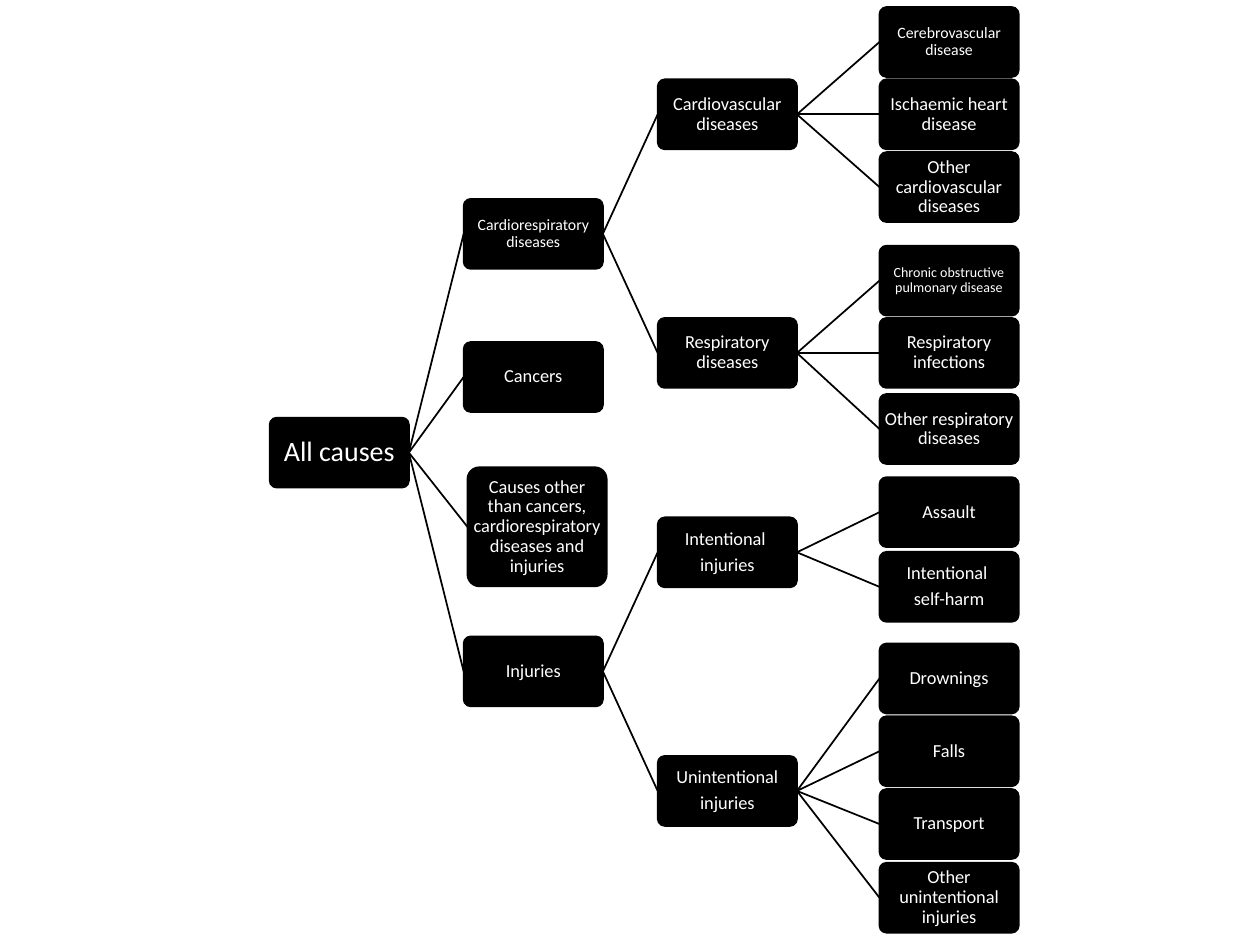
from dataclasses import dataclass

import pptx
import pptx.dml.color
import pptx.enum.shapes
import pptx.enum.text
import pptx.oxml.ns
import pptx.util
from lxml import etree
from pptx.shapes.autoshape import Shape

COLORS = {"box": "000000", "line": "000000", "text": "FFFFFF"}
FONT = "Calibri"
SLIDE_W, SLIDE_H = pptx.util.Inches(10), pptx.util.Inches(7.5)

# Shares of the slide's size, in percent
COLUMNS = (21.4, 36.8, 52.2, 69.8)
BOX_W, BOX_H = 11.05, 7.4
RIGHT, LEFT = 3, 1


@dataclass(frozen=True)
class Cause:
    """A box of the tree; middle is its vertical centre, shift moves it off its column."""
    text: str
    middle: float
    children: tuple["Cause", ...] = ()
    size: float = 10.5
    height: float = BOX_H
    shift: float = 0


CARDIOVASCULAR = Cause("Cardiovascular diseases", 12.1, (
    Cause("Cerebrovascular disease", 4.45, size=9),
    Cause("Ischaemic heart disease", 12.1),
    Cause("Other cardiovascular diseases", 19.8),
))
RESPIRATORY = Cause("Respiratory diseases", 37.35, (
    Cause("Chronic obstructive pulmonary disease", 29.7, size=8),
    Cause("Respiratory infections", 37.35),
    Cause("Other respiratory diseases", 45.4),
))
INTENTIONAL = Cause("Intentional \ninjuries", 58.45, (
    Cause("Assault", 54.2),
    Cause("Intentional \nself-harm", 62.1),
))
UNINTENTIONAL = Cause("Unintentional\ninjuries", 83.7, (
    Cause("Drownings", 71.8),
    Cause("Falls", 79.5),
    Cause("Transport", 87.2),
    Cause("Other unintentional injuries", 95),
))
ALL_CAUSES = Cause("All causes", 47.9, (
    Cause("Cardiorespiratory diseases", 24.75, (CARDIOVASCULAR, RESPIRATORY), size=9),
    Cause("Cancers", 39.9),
    Cause("Causes other than cancers, cardiorespiratory diseases and injuries",
          55.75, height=12.6, shift=0.3),
    Cause("Injuries", 71.05, (INTENTIONAL, UNINTENTIONAL)),
), size=16)


def rgb(name: str) -> pptx.dml.color.RGBColor:
    return pptx.dml.color.RGBColor.from_string(COLORS[name])


def across(percent: float) -> int:
    return round(SLIDE_W * percent / 100)


def down(percent: float) -> int:
    return round(SLIDE_H * percent / 100)


def add_box(shapes, cause: Cause, level: int) -> Shape:
    sp = shapes.add_shape(
        pptx.enum.shapes.MSO_SHAPE.ROUNDED_RECTANGLE,
        across(COLUMNS[level] + cause.shift), down(cause.middle - cause.height / 2),
        across(BOX_W), down(cause.height))
    sp.adjustments[0] = 0.1
    sp.shadow.inherit = False
    sp.fill.solid()
    sp.fill.fore_color.rgb = rgb("box")
    sp.line.color.rgb = rgb("line")
    sp.line.width = pptx.util.Pt(1)

    tf = sp.text_frame
    tf.word_wrap = True
    tf.vertical_anchor = pptx.enum.text.MSO_ANCHOR.MIDDLE
    tf.margin_left = tf.margin_right = pptx.util.Inches(0.01)
    tf.margin_top = tf.margin_bottom = pptx.util.Inches(0.01)
    tf.text = cause.text
    for p in tf.paragraphs:
        p.alignment = pptx.enum.text.PP_ALIGN.CENTER
        p.line_spacing = 0.9
        p.space_after = pptx.util.Pt(0.35 * cause.size)
        p.font.name = FONT
        p.font.size = pptx.util.Pt(cause.size)
        p.font.color.rgb = rgb("text")
    return sp


def join(shapes, parent: Shape, child: Shape) -> None:
    line = shapes.add_connector(pptx.enum.shapes.MSO_CONNECTOR.STRAIGHT, 0, 0, 0, 0)
    line.begin_connect(parent, RIGHT)
    line.end_connect(child, LEFT)
    line.line.color.rgb = rgb("line")
    line.line.width = pptx.util.Pt(1)
    etree.SubElement(line._element.spPr, pptx.oxml.ns.qn("a:effectLst"))


def draw_tree(shapes, cause: Cause, level: int = 0) -> Shape:
    """Draw a cause and all below it, and return the box of the cause."""
    box = add_box(shapes, cause, level)
    for child in cause.children:
        join(shapes, box, draw_tree(shapes, child, level + 1))
    return box


def main() -> None:
    prs = pptx.Presentation()
    prs.slide_width, prs.slide_height = SLIDE_W, SLIDE_H
    s = prs.slides.add_slide(prs.slide_layouts[6])
    draw_tree(s.shapes, ALL_CAUSES)
    prs.save("out.pptx")


if __name__ == "__main__":
    main()
